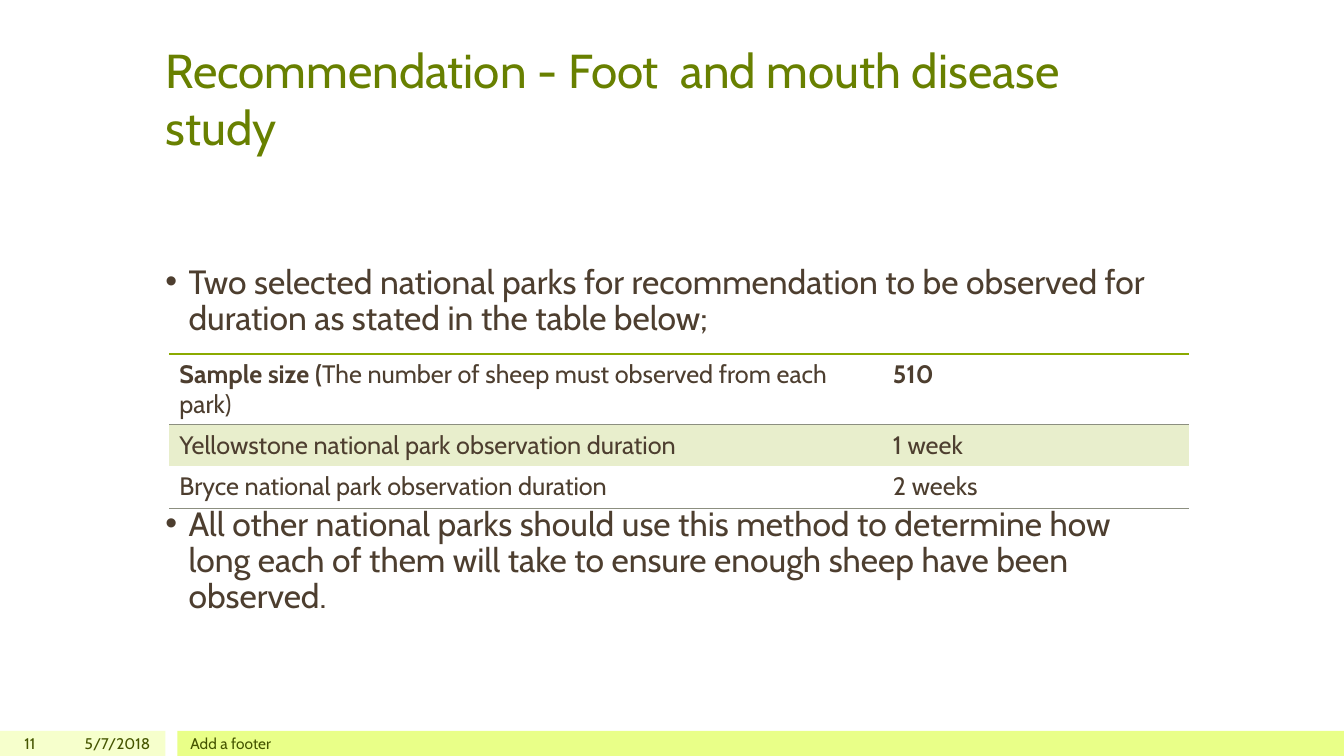
from lxml import etree
from pptx import Presentation, util as u
from pptx.dml.color import RGBColor
from pptx.enum import shapes, text
from pptx.oxml.ns import qn

FONT = "Cabin"
TITLE_GREEN = RGBColor(0x68, 0x80, 0x00)
FOOTER_GREEN = RGBColor(0x45, 0x55, 0x00)
BROWN = RGBColor(0x4D, 0x3E, 0x2F)
PALE_LIME = RGBColor(0xF6, 0xFF, 0xCC)
LIME = RGBColor(0xE9, 0xFF, 0x88)
BAND = RGBColor(0xE8, 0xEE, 0xCC)
TOP_RULE = RGBColor(0x8B, 0xAA, 0x00)
THIN_RULE = RGBColor(0x8C, 0x8F, 0x80)
NO_GRID_STYLE = "{2D5ABB26-0587-4C30-8999-92F81FD0307C}"

WIDTH, HEIGHT = 13.33, 7.5
MARGIN, CONTENT_WIDTH = 1.54, 10.25
FOOTER_HEIGHT = HEIGHT / 30


def place(shape, box):
    shape.left, shape.top, shape.width, shape.height = map(u.Inches, box)


def add_run(paragraph, words, size=18, color=BROWN, bold=False):
    run = paragraph.add_run()
    run.text = words
    run.font.name, run.font.size, run.font.bold = FONT, u.Pt(size), bold
    run.font.color.rgb = color


def add_title(slide, box, words):
    title = slide.shapes.title
    place(title, box)
    frame = title.text_frame
    frame.auto_size = text.MSO_AUTO_SIZE.NONE
    frame.vertical_anchor = text.MSO_ANCHOR.BOTTOM
    paragraph = frame.paragraphs[0]
    paragraph.alignment = text.PP_ALIGN.LEFT
    add_run(paragraph, words, size=34, color=TITLE_GREEN)


def add_bullets(slide, box, bullets):
    """Each bullet is its wording and the space before it in points."""
    body = slide.placeholders[1]
    place(body, box)
    frame = body.text_frame
    frame.auto_size = text.MSO_AUTO_SIZE.NONE
    for index, (words, space) in enumerate(bullets):
        paragraph = frame.add_paragraph() if index else frame.paragraphs[0]
        paragraph.line_spacing = 0.9
        paragraph.space_before = u.Pt(space)
        properties = paragraph._p.get_or_add_pPr()
        properties.set("marL", str(u.Inches(0.23)))
        properties.set("indent", str(-u.Inches(0.23)))
        add_run(paragraph, words, size=24)


def add_border(cell, edge, color, points):
    properties = cell._tc.get_or_add_tcPr()
    line = etree.Element(qn(f"a:{edge}"), w=str(u.Pt(points)))
    fill = etree.SubElement(line, qn("a:solidFill"))
    etree.SubElement(fill, qn("a:srgbClr"), val=str(color))
    properties.insert(0, line)


def add_duration_table(slide, box, rows, column_shares, row_shares):
    frame = slide.shapes.add_table(len(rows), len(column_shares), *map(u.Inches, box))
    table = frame.table
    table.first_row = table.horz_banding = False
    table._tbl.tblPr.find(qn("a:tableStyleId")).text = NO_GRID_STYLE
    for column, share in zip(table.columns, column_shares):
        column.width = u.Inches(box[2] * share)
    for row, share in zip(table.rows, row_shares):
        row.height = u.Inches(box[3] * share)
    for row_index, row in enumerate(rows):
        for column_index, runs in enumerate(row):
            cell = table.cell(row_index, column_index)
            if row_index == 1:
                cell.fill.solid()
                cell.fill.fore_color.rgb = BAND
            else:
                cell.fill.background()
                add_border(cell, "lnB", THIN_RULE, 0.75)
            if row_index == 0:
                add_border(cell, "lnT", TOP_RULE, 1.5)
            for words, bold in runs:
                add_run(cell.text_frame.paragraphs[0], words, bold=bold)


def add_footer(slide, box):
    left, top, width, height = box
    # Coloured bars, with a gap between them
    for start, end, color in ((0, 1.64, PALE_LIME), (1.76, width, LIME)):
        bar = slide.shapes.add_shape(shapes.MSO_SHAPE.RECTANGLE, 0, 0, 0, 0)
        place(bar, (left + start, top, end - start, height))
        bar.shadow.inherit = False
        bar.fill.solid()
        bar.fill.fore_color.rgb = color
        bar.line.fill.background()
    # Slide number, date and footer text
    right, start_side = text.PP_ALIGN.RIGHT, text.PP_ALIGN.LEFT
    for start, span, words, alignment in (
        (0, 0.45, "11", right),
        (0.5, 1.09, "5/7/2018", right),
        (1.79, 10, "Add a footer", start_side),
    ):
        label = slide.shapes.add_textbox(0, 0, 0, 0)
        place(label, (left + start, top, span, height))
        frame = label.text_frame
        frame.word_wrap = True
        frame.margin_top = frame.margin_bottom = 0
        frame.vertical_anchor = text.MSO_ANCHOR.MIDDLE
        frame.paragraphs[0].alignment = alignment
        add_run(frame.paragraphs[0], words, size=11, color=FOOTER_GREEN)


presentation = Presentation()
presentation.slide_width = u.Inches(WIDTH)
presentation.slide_height = u.Inches(HEIGHT)
slide = presentation.slides.add_slide(presentation.slide_layouts[1])

add_footer(slide, (0, HEIGHT - FOOTER_HEIGHT, WIDTH, FOOTER_HEIGHT))
add_title(slide, (MARGIN, 0.3, CONTENT_WIDTH, 1.29),
          "Recommendation - Foot  and mouth disease study ")
# The second bullet leaves room for the table
add_bullets(slide, (MARGIN, 2.58, CONTENT_WIDTH, 4.19), [
    ("Two selected national parks for recommendation to be observed "
     "for duration as stated in the table below;", 11),
    ("All other national parks should use this method to determine how long "
     "each of them will take to ensure enough sheep have been observed.", 121),
])
add_duration_table(slide, (1.68, 3.51, 10.11, 1.53), [
    ([("Sample size (", True),
      ("The number of sheep must observed from each park)", False)],
     [("510", True)]),
    ([("Yellowstone national park observation duration", False)],
     [("1 week", False)]),
    ([("Bryce national park observation duration", False)],
     [("2 weeks", False)]),
], column_shares=(0.7, 0.3), row_shares=(0.46, 0.27, 0.27))

presentation.save("out.pptx")
